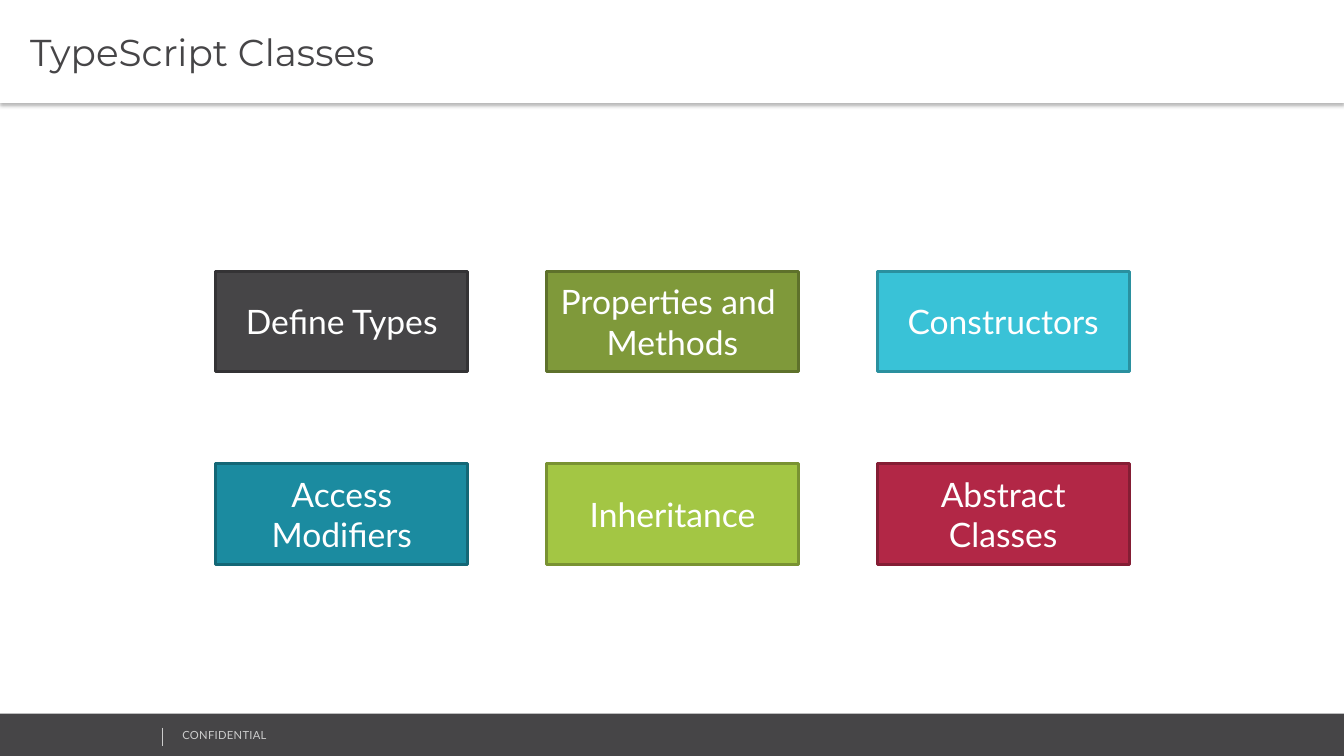
from dataclasses import dataclass

from lxml.etree import SubElement
from pptx import Presentation
from pptx.dml.color import RGBColor
from pptx.enum.shapes import MSO_CONNECTOR, MSO_SHAPE
from pptx.enum.text import MSO_ANCHOR, PP_ALIGN
from pptx.oxml.ns import qn
from pptx.shapes.autoshape import Shape
from pptx.slide import Slide
from pptx.text.text import TextFrame
from pptx.util import Emu, Pt

EMU_PER_PX = 9144  # 100 px to the inch


@dataclass(frozen=True)
class Theme:
    heading_font: str = "Montserrat"
    body_font: str = "Lato"
    title_size: float = 26.7
    card_size: float = 24
    footer_size: float = 8
    card_border: float = 2
    divider_width: float = 0.25
    dark: str = "464547"
    white: str = "FFFFFF"
    muted: str = "CCCCCC"
    shadow: str = "000000"


@dataclass(frozen=True)
class Card:
    text: str
    fill: str
    border: str


THEME = Theme()
PAGE_WIDTH, PAGE_HEIGHT = 1333, 750
TITLE_HEIGHT = 102
FOOTER_TOP = 708

CARDS = (
    Card("Define Types", THEME.dark, "343335"),
    Card("Properties and \nMethods", "7F993A", "5E712B"),
    Card("Constructors", "39C2D7", "2A909F"),
    Card("Access Modifiers", "1B8BA0", "146776"),
    Card("Inheritance", "A3C644", "799232"),
    Card("Abstract Classes", "B22746", "841D34"),
)
COLUMNS = 3
GRID_LEFT, GRID_TOP = 214, 269
CARD_WIDTH, CARD_HEIGHT = 250, 100
COLUMN_STEP, ROW_STEP = 328, 191


def px(length: int) -> Emu:
    return Emu(length * EMU_PER_PX)


def color(code: str) -> RGBColor:
    return RGBColor.from_string(code)


def write(frame: TextFrame, text: str, font: str, size: float, code: str,
          align: PP_ALIGN = PP_ALIGN.LEFT) -> None:
    frame.text = text
    frame.word_wrap = True
    for para in frame.paragraphs:
        para.alignment = align
        for span in para.runs:
            span.font.name = font
            span.font.size = Pt(size)
            span.font.color.rgb = color(code)


def add_rectangle(page: Slide, left: int, top: int, width: int, height: int, fill: str) -> Shape:
    box = page.shapes.add_shape(MSO_SHAPE.RECTANGLE, px(left), px(top), px(width), px(height))
    box.shadow.inherit = False
    box.fill.solid()
    box.fill.fore_color.rgb = color(fill)
    box.line.fill.background()
    return box


def add_bottom_shadow(box: Shape) -> None:
    effects = SubElement(box._element.spPr, qn("a:effectLst"))
    shadow = SubElement(effects, qn("a:outerShdw"), blurRad=str(Pt(3.1)), dist=str(Pt(2)),
                        dir="5400000", algn="t", rotWithShape="0")
    tint = SubElement(shadow, qn("a:srgbClr"), val=THEME.shadow)
    SubElement(tint, qn("a:alpha"), val="30000")


def format_title(page: Slide, text: str) -> None:
    title = page.shapes.title
    title.left, title.top = px(0), px(0)
    title.width, title.height = px(PAGE_WIDTH), px(TITLE_HEIGHT)
    title.fill.solid()
    title.fill.fore_color.rgb = color(THEME.white)
    add_bottom_shadow(title)
    frame = title.text_frame
    frame.vertical_anchor = MSO_ANCHOR.MIDDLE
    frame.margin_left, frame.margin_right = px(30), px(7)
    frame.margin_top = frame.margin_bottom = px(4)
    write(frame, text, THEME.heading_font, THEME.title_size, THEME.dark)


def add_footer(page: Slide, text: str) -> None:
    add_rectangle(page, 0, FOOTER_TOP, PAGE_WIDTH, PAGE_HEIGHT - FOOTER_TOP, THEME.dark)
    label = page.shapes.add_textbox(px(171), px(718), px(338), px(24))
    write(label.text_frame, text, THEME.body_font, THEME.footer_size, THEME.muted)
    span = label.text_frame.paragraphs[0].runs[0]
    span.font._element.set("spc", "20")

    divider = page.shapes.add_connector(MSO_CONNECTOR.STRAIGHT, px(161), px(722), px(161), px(740))
    divider.line.color.rgb = color(THEME.muted)
    divider.line.width = Pt(THEME.divider_width)
    SubElement(divider._element.spPr, qn("a:effectLst"))


def add_card(page: Slide, card: Card, left: int, top: int) -> None:
    box = add_rectangle(page, left, top, CARD_WIDTH, CARD_HEIGHT, card.fill)
    box.line.color.rgb = color(card.border)
    box.line.width = Pt(THEME.card_border)
    box.text_frame.vertical_anchor = MSO_ANCHOR.MIDDLE
    write(box.text_frame, card.text, THEME.body_font, THEME.card_size, THEME.white,
          PP_ALIGN.CENTER)


def main() -> None:
    deck = Presentation()
    deck.slide_width, deck.slide_height = px(PAGE_WIDTH), px(PAGE_HEIGHT)
    page = deck.slides.add_slide(deck.slide_layouts.get_by_name("Title Only"))
    format_title(page, "TypeScript Classes")
    add_footer(page, "CONFIDENTIAL")
    for index, card in enumerate(CARDS):
        row, column = divmod(index, COLUMNS)
        add_card(page, card, GRID_LEFT + column * COLUMN_STEP, GRID_TOP + row * ROW_STEP)
    deck.save("out.pptx")


if __name__ == "__main__":
    main()
